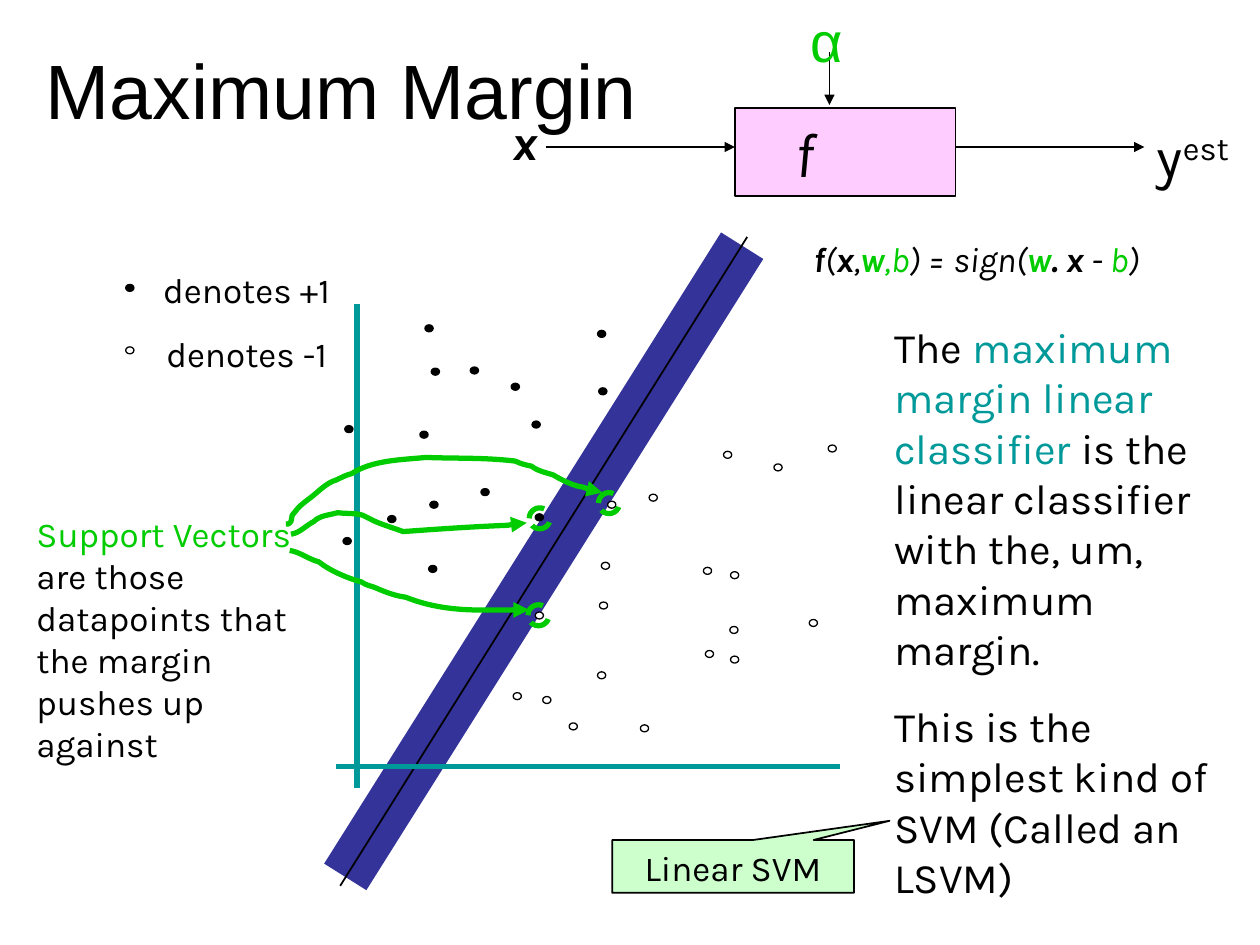
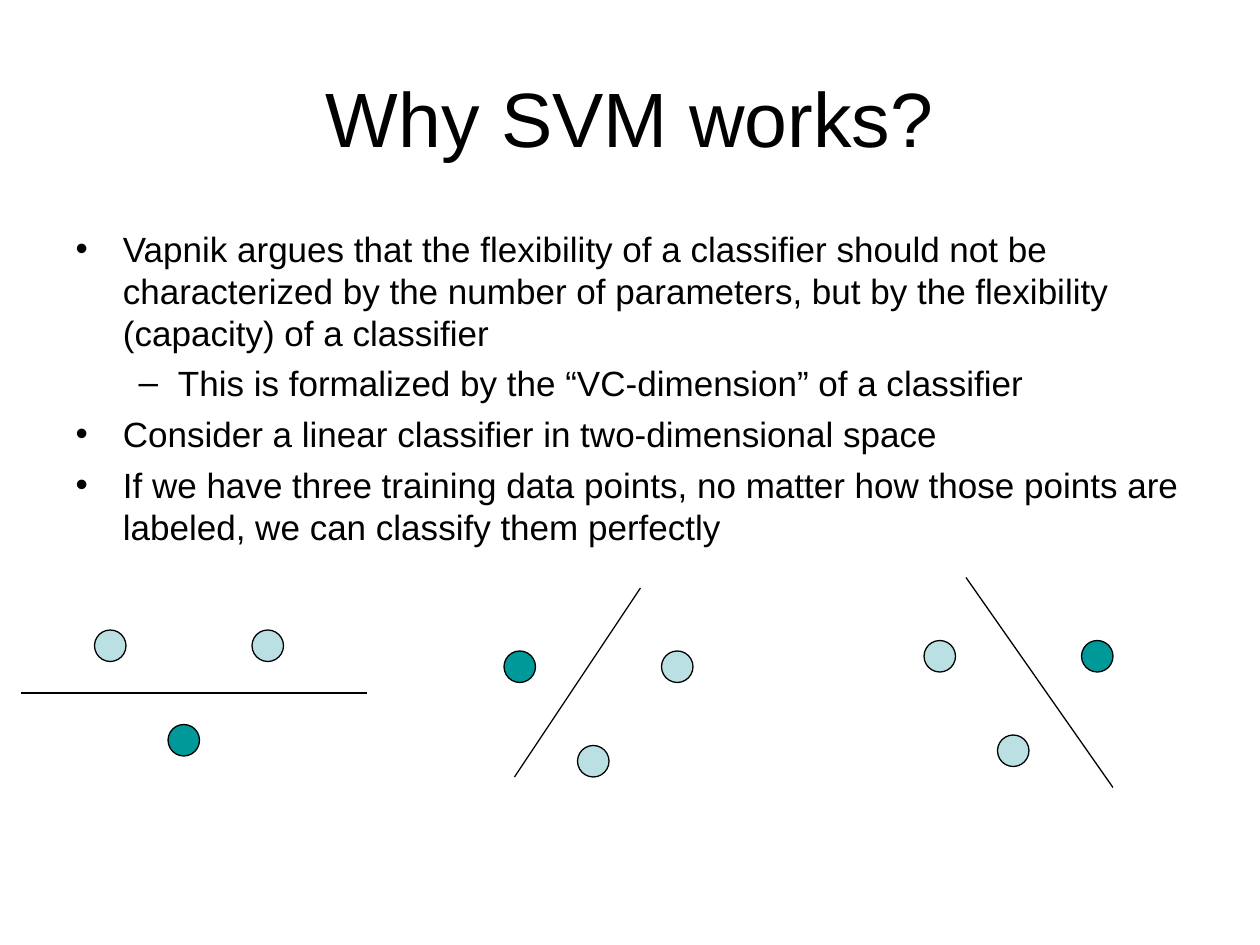
from lxml.etree import SubElement
from pptx import Presentation
from pptx.dml.color import RGBColor
from pptx.enum.dml import MSO_LINE
from pptx.enum.shapes import MSO_CONNECTOR, MSO_SHAPE
from pptx.enum.text import MSO_ANCHOR, MSO_AUTO_SIZE, PP_ALIGN
from pptx.oxml.ns import qn
from pptx.util import Pt

COLORS = {
    "black": "000000", "white": "FFFFFF", "green": "00CC00", "teal": "009999",
    "band": "333399", "pink": "FFCCFF", "mint": "CCFFCC", "pale": "BBE0E3",
}
RGB = {name: RGBColor.from_string(value) for name, value in COLORS.items()}
LEFT, CENTER = PP_ALIGN.LEFT, PP_ALIGN.CENTER


def style(shape, line, width, fill=None, arrow=False):
    """Set outline and fill, and remove the theme shadow."""
    shape.line.color.rgb = RGB[line]
    shape.line.width = Pt(width)
    if fill:
        shape.fill.solid()
        shape.fill.fore_color.rgb = RGB[fill]
    elif hasattr(shape, "fill"):
        shape.fill.background()
    properties = shape._element.spPr
    if arrow:
        SubElement(properties.find(qn("a:ln")), qn("a:tailEnd"), type="triangle")
    SubElement(properties, qn("a:effectLst"))


def write(paragraph, runs, size, align=CENTER, font="Karla"):
    """Add (text, colour, marks) runs; marks are b bold, i italic, ^ superscript."""
    paragraph.alignment = align
    for text, color, marks in runs:
        run = paragraph.add_run()
        run.text = text
        run.font.name = font
        run.font.size = Pt(size)
        run.font.color.rgb = RGB[color]
        run.font.bold = "b" in marks
        run.font.italic = "i" in marks
        if "^" in marks:
            run.font._element.set("baseline", "30000")


prs = Presentation()
prs.slide_width, prs.slide_height = Pt(720), Pt(540)
margin = prs.slides.add_slide(prs.slide_layouts[5])
why = prs.slides.add_slide(prs.slide_layouts[1])

# Titles
for slide, heading, box in [
    (margin, "Maximum Margin", (12, 23.6, 366, 54)),
    (why, "Why SVM works?", (36, 21.6, 648, 90)),
]:
    title = slide.shapes.title
    title.left, title.top, title.width, title.height = map(Pt, box)
    title.text_frame.auto_size = MSO_AUTO_SIZE.NONE
    title.text_frame.vertical_anchor = MSO_ANCHOR.MIDDLE
    write(title.text_frame.paragraphs[0], [(heading, "black", "")], 44, font="Arial")

# Separating lines, axes, arrows of the function diagram
for slide, ends, color, width, arrow in [
    (margin, (197.3, 501.1, 424.1, 140.4), "band", 28.5, False),
    (margin, (194.4, 506.2, 427, 135.4), "black", 1, False),
    (margin, (312, 84, 420, 84), "black", 1, True),
    (margin, (474, 30, 474, 60), "black", 1, True),
    (margin, (546, 84, 654, 84), "black", 1, True),
    (margin, (204, 174, 204, 450), "teal", 3, False),
    (margin, (192, 438, 480, 438), "teal", 3, False),
    (why, (12, 396, 210, 396), "black", 0.75, False),
    (why, (294, 444, 366, 336), "black", 0.75, False),
    (why, (552, 330, 636, 450), "black", 0.75, False),
]:
    line = slide.shapes.add_connector(MSO_CONNECTOR.STRAIGHT, *map(Pt, ends))
    style(line, color, width, arrow=arrow)

# Function box
function_box = margin.shapes.add_shape(MSO_SHAPE.RECTANGLE, Pt(420), Pt(61.7), Pt(126), Pt(50.4))
style(function_box, "black", 1, "pink")
function_box.text_frame.margin_right = Pt(53.5)
write(function_box.text_frame.paragraphs[0], [("f", "black", "i")], 36)

# Data points, the first of each class being its legend mark
positives = [
    (74.2, 164.5), (198.4, 309.2), (344.5, 223.6), (271.1, 211.7), (308.2, 295.6),
    (242.3, 248.4), (248.8, 212.4), (248, 288.4), (306.4, 242.6), (247.3, 325.1),
    (343.8, 190.8), (245.2, 187.6), (277.2, 281.2), (223.9, 296.6), (294.5, 221),
    (199.4, 245.2),
]
negatives = [
    (74.2, 200.2), (295.6, 397.8), (349.6, 288.4), (404.3, 326.2), (308.2, 351.7),
    (475.6, 256.3), (419.4, 360), (373.3, 284.4), (464.8, 356), (327.6, 415.1),
    (419.8, 328.7), (346, 323.3), (444.6, 267.1), (415.8, 259.9), (405.4, 373.7),
    (368.3, 416.2), (343.8, 385.9), (344.9, 346), (312.5, 400), (419.8, 376.9),
]
POINT_W, POINT_H = 4.7, 4
for points, fill in [(positives, "black"), (negatives, "white")]:
    for x, y in points:
        point = margin.shapes.add_shape(
            MSO_SHAPE.OVAL, Pt(x - POINT_W / 2), Pt(y - POINT_H / 2), Pt(POINT_W), Pt(POINT_H))
        style(point, "black", 0.75, fill)

# Texts of the first slide: box, alignment, size, font, space between, paragraphs
for box, align, size, font, gap, paragraphs in [
    ((276, 60, 48, 41), CENTER, 28, "Karla", 0, [[("x", "black", "bi")]]),
    ((456, 0, 30, 46), CENTER, 32, "Arial", 0, [[("α", "green", "")]]),
    ((654, 66, 66, 46), LEFT, 32, "Karla", 0, [[("y", "black", ""), ("est", "black", "^")]]),
    ((66, 150, 150, 68), CENTER, 20, "Karla", 12.5,
     [[("denotes +1", "black", "")], [("denotes -1", "black", "")]]),
    ((432, 132, 252, 32), CENTER, 20, "Karla", 0, [[
        ("f", "black", "bi"), ("(", "black", "i"), ("x", "black", "bi"), (",", "black", "i"),
        ("w", "green", "bi"), (",b", "green", "i"), (") = sign(", "black", "i"),
        ("w", "green", "bi"), (". x ", "black", "bi"), ("- ", "black", "i"),
        ("b", "green", "i"), (")", "black", "i")]]),
    ((504, 180, 216, 339), LEFT, 24, "Karla", 15, [
        [("The ", "black", ""), ("maximum margin linear classifier", "teal", ""),
         (" is the linear classifier with the, um, maximum margin.", "black", "")],
        [("This is the simplest kind of SVM (Called an LSVM)", "black", "")]]),
    ((13.7, 289.4, 167, 151), LEFT, 20, "Karla", 0, [[
        ("Support Vectors ", "green", ""),
        ("are those datapoints that the margin pushes up against", "black", "")]]),
]:
    frame = margin.shapes.add_textbox(*map(Pt, box)).text_frame
    frame.word_wrap = True
    for index, runs in enumerate(paragraphs):
        paragraph = frame.add_paragraph() if index else frame.paragraphs[0]
        paragraph.space_before = Pt(gap if index else 0)
        write(paragraph, runs, size, align, font)

# Curved arrows to the support vectors: start, then cubic segments (two controls, end)
arrows = [
    ((166.3, 305.3), [
        (171.4, 304.6, 175, 300.2, 179.3, 298.1), (182.9, 294.5, 187.9, 294.5, 193, 293),
        (199.4, 293.8, 202.3, 293, 207.4, 294.5), (209.8, 295.7, 212.2, 296.9, 214.6, 298.1),
        (219.6, 300.2, 224.6, 301.7, 230.4, 303.8), (249.8, 302.4, 270, 301, 290.2, 300.2),
        (293.8, 299.5, 297.4, 298.8, 301, 298.8)]),
    ((163.4, 299.5), [
        (164.2, 299.5, 165.6, 299.5, 165.6, 298.8), (167, 298.1, 166.3, 295.9, 167, 294.5),
        (167.8, 293, 169.2, 292.3, 169.9, 290.9), (171.4, 288.7, 178.6, 283.7, 179.3, 283),
        (183.6, 279.4, 187.2, 275.8, 192.2, 274.3), (195.1, 272.9, 198, 271.4, 200.9, 270.7),
        (213.1, 262.8, 229.7, 262.8, 243.4, 261.4), (260.6, 262.1, 277.2, 261.4, 294.5, 263.5),
        (297.4, 265, 300.2, 265.7, 303.8, 266.4), (307.4, 269.3, 311.8, 270, 316.1, 271.4),
        (321.1, 274.3, 325.4, 276.5, 330.5, 277.9), (334.8, 278.6, 339.8, 281.5, 344.2, 281.5)]),
    ((165.6, 314.6), [
        (171.4, 315.4, 176.4, 319.7, 182.2, 321.1), (188.6, 326.2, 198.7, 330.5, 206.6, 332.6),
        (209.5, 334.8, 212.4, 334.8, 215.3, 336.2), (220.3, 338.4, 226.1, 340.6, 231.8, 341.3),
        (253.4, 349.9, 279.4, 348.5, 302.4, 348.5)]),
]
for start, segments in arrows:
    builder = margin.shapes.build_freeform(*map(Pt, start))
    builder.add_line_segments([(Pt(x), Pt(y)) for *_, x, y in segments], close=False)
    arrow = builder.convert_to_shape()
    # Turn each straight segment into a cubic one by adding its two control points
    straights = list(arrow._element.iter(qn("a:lnTo")))
    for straight, (x1, y1, x2, y2, *_) in zip(straights, segments):
        cubic = straight.getparent().makeelement(qn("a:cubicBezTo"))
        for x, y in [(x1, y1), (x2, y2)]:
            SubElement(cubic, qn("a:pt"), x=str(Pt(x) - arrow.left), y=str(Pt(y) - arrow.top))
        cubic.append(straight[0])
        straight.getparent().replace(straight, cubic)
    style(arrow, "green", 3, arrow=True)

# Rings around the support vectors
for left, top in [(342, 281.5), (302.4, 290.2), (301.7, 345.6)]:
    ring = margin.shapes.add_shape(MSO_SHAPE.OVAL, Pt(left), Pt(top), Pt(12), Pt(12))
    ring.line.dash_style = MSO_LINE.DASH
    style(ring, "green", 3)

# Callout
callout = margin.shapes.add_shape(
    MSO_SHAPE.RECTANGULAR_CALLOUT, Pt(349.8), Pt(480), Pt(138.2), Pt(30.2))
callout.adjustments[0], callout.adjustments[1] = 0.647, -0.863
style(callout, "black", 1, "mint")
callout.text_frame.vertical_anchor = MSO_ANCHOR.TOP
write(callout.text_frame.paragraphs[0], [("Linear SVM", "black", "")], 20)

# Argument list of the second slide
body = why.placeholders[1]
body.left, body.top, body.width, body.height = Pt(36), Pt(126.1), Pt(648), Pt(356.4)
body.text_frame.auto_size = MSO_AUTO_SIZE.NONE
for index, (level, text) in enumerate([
    (0, "Vapnik argues that the flexibility of a classifier should not be characterized by the "
        "number of parameters, but by the flexibility (capacity) of a classifier"),
    (1, "This is formalized by the “VC-dimension” of a classifier"),
    (0, "Consider a linear classifier in two-dimensional space"),
    (0, "If we have three training data points, no matter how those points are labeled, "
        "we can classify them perfectly"),
]):
    paragraph = body.text_frame.add_paragraph() if index else body.text_frame.paragraphs[0]
    paragraph.level = level
    paragraph.space_before = Pt(5 if index else 0)
    write(paragraph, [(text, "black", "")], 20, LEFT, "Arial")

# Three labelings of the same three points, one point set apart in each
for left, top, odd_one in [(54, 360, 2), (288, 372, 0), (528, 366, 1)]:
    for index, (dx, dy) in enumerate([(0, 0), (90, 0), (42, 54)]):
        sample = why.shapes.add_shape(
            MSO_SHAPE.OVAL, Pt(left + dx), Pt(top + dy), Pt(18), Pt(18))
        style(sample, "black", 0.75, "teal" if index == odd_one else "pale")

prs.save("out.pptx")
